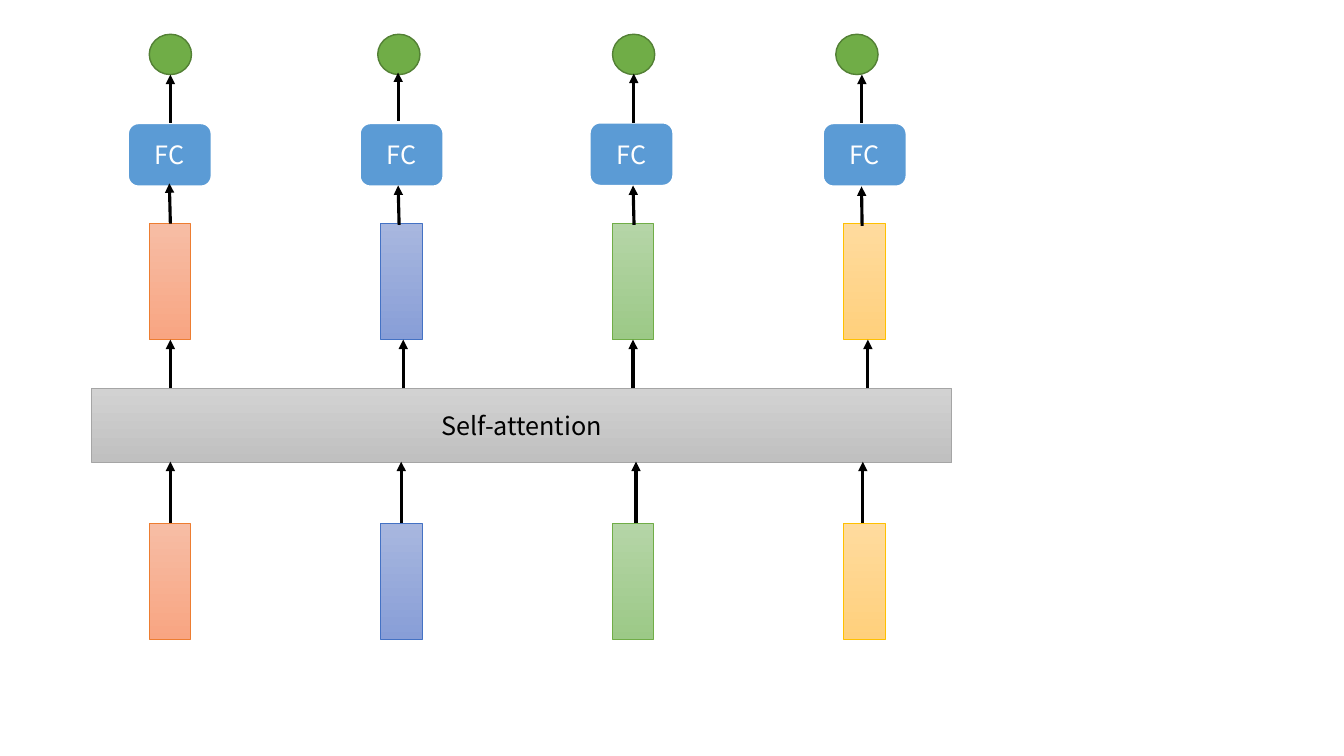
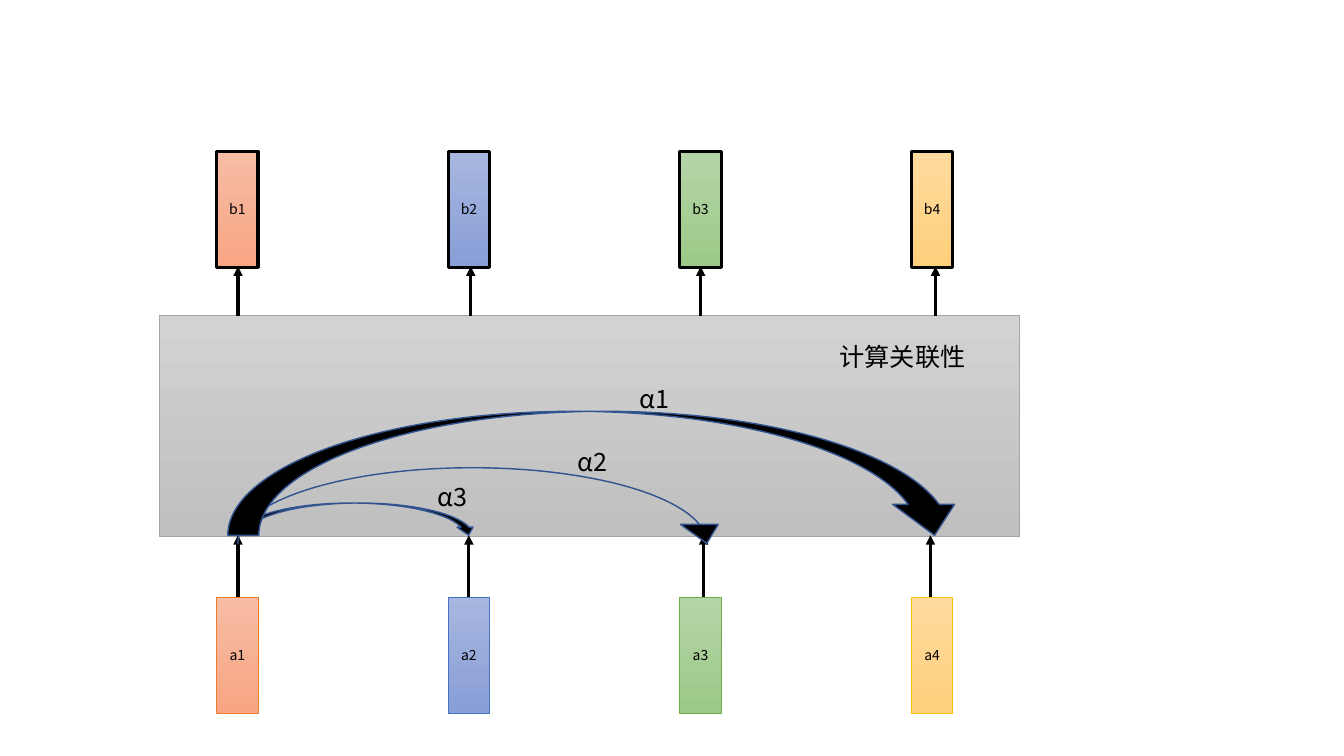
"""Draws two slides on self-attention: the network and its relevance step."""
from lxml import etree
from pptx import Presentation
from pptx.dml import color
from pptx.enum import shapes, text
from pptx.oxml import ns
from pptx.util import Pt

FONT = "Noto Sans CJK SC"
HUES = {
    "black": "000000", "white": "FFFFFF", "blue": "5B9BD5",
    "leaf": "70AD47", "moss": "538035", "navy": "325491",
}
FADES = {
    "red": ("F7BDA5", "F8A582", "ED7D31"),
    "blue": ("A8B7DF", "889ED7", "4472C4"),
    "green": ("B5D5A7", "9CC987", "70AD47"),
    "gold": ("FFDB9E", "FFD07C", "FFC000"),
    "gray": ("D2D2D2", "C0C0C0", "A5A5A5"),
}
COLS = ("red", "blue", "green", "gold")
KIND = shapes.MSO_SHAPE
LEFT, STEP = 106.5, 165.4
SHIFT = 48.3
IN_X = (121.7, 286.6, 454.3, 616.3)
OUT_X = (121.7, 288, 452.2, 619.9)


def rgb(code):
    """Turn a hex string into a colour."""
    return color.RGBColor.from_string(code)


def write(shape, words, size=18, hue="black", align="CENTER", anchor="MIDDLE"):
    """Put formatted words in a shape."""
    frame = shape.text_frame
    frame.word_wrap = True
    frame.vertical_anchor = getattr(text.MSO_ANCHOR, anchor)
    para = frame.paragraphs[0]
    para.alignment = getattr(text.PP_ALIGN, align)
    run = para.add_run()
    run.text = words
    run.font.size = Pt(size)
    run.font.name = FONT
    run.font.color.rgb = rgb(HUES[hue])
    etree.SubElement(run.font._element, ns.qn("a:ea"), typeface=FONT)


class Deck:
    """Holds the style and the current slide."""

    def __init__(self):
        """Start an empty wide deck."""
        self.show = Presentation()
        self.show.slide_width, self.show.slide_height = Pt(960), Pt(540)
        self.slide = None

    def page(self):
        """Add a blank slide."""
        self.slide = self.show.slides.add_slide(self.show.slide_layouts[6])

    def form(self, kind, box, edge, width):
        """Add a preset shape with an outline."""
        shape = self.slide.shapes.add_shape(kind, *map(Pt, box))
        shape.shadow.inherit = False
        shape.line.color.rgb = rgb(edge)
        shape.line.width = Pt(width)
        return shape

    def solid(self, kind, box, fill, edge, width=1):
        """Add a shape in one colour."""
        shape = self.form(kind, box, HUES[edge], width)
        shape.fill.solid()
        shape.fill.fore_color.rgb = rgb(HUES[fill])
        return shape

    def fade(self, box, name, edge=None, width=0.5):
        """Add a rectangle that darkens downwards."""
        top, low, rim = FADES[name]
        shape = self.form(KIND.RECTANGLE, box, edge or rim, width)
        shape.fill.gradient()
        shape.fill.gradient_angle = 270
        for stop, code in zip(shape.fill.gradient_stops, (top, low)):
            stop.color.rgb = rgb(code)
        return shape

    def blocks(self, top, shift=0, mark="", **style):
        """Add a row of four vectors."""
        for i, name in enumerate(COLS):
            block = self.fade((LEFT + shift + i * STEP, top, 29.5, 83), name, **style)
            if mark:
                write(block, f"{mark}{i + 1}", size=10)

    def arrow(self, x, y, end, tip):
        """Add a black arrow from x, y to end, tip."""
        line = self.slide.shapes.add_connector(
            shapes.MSO_CONNECTOR.STRAIGHT, *map(Pt, (x, y, end, tip)))
        line.line.color.rgb = rgb(HUES["black"])
        line.line.width = Pt(2.25)
        prop = line._element.spPr
        etree.SubElement(prop.find(ns.qn("a:ln")), ns.qn("a:tailEnd"), type="triangle")
        etree.SubElement(prop, ns.qn("a:effectLst"))

    def rise(self, xs, low, high, shift=0):
        """Add a row of upright arrows."""
        for x in xs:
            self.arrow(x + shift, low, x + shift, high)

    def label(self, box, words):
        """Add a text box."""
        shape = self.slide.shapes.add_textbox(*map(Pt, box))
        write(shape, words, align="LEFT", anchor="TOP")


def network(deck):
    """Draw the layers from inputs to outputs."""
    deck.page()
    deck.blocks(373.7)
    write(deck.fade((65.5, 277.2, 614.2, 53.3), "gray"), "Self-attention")
    deck.blocks(159.8)
    for x, y in ((91.4, 88), (257, 88), (421.2, 87.5), (587.8, 88)):
        cell = deck.solid(KIND.ROUNDED_RECTANGLE, (x, y, 59.8, 45.2), "blue", "white", 1.5)
        write(cell, "FC", hue="white")
    for x in (106.6, 269.8, 437.5, 597):
        deck.solid(KIND.OVAL, (x, 24.5, 30.2, 28.8), "leaf", "moss")
    deck.rise(IN_X, 373.7, 329.8)
    deck.rise(OUT_X, 277.2, 242.6)
    for x, y, end, tip in ((121.7, 159.8, 121, 131), (285.1, 160.6, 284.4, 132.5),
                           (452.9, 160.6, 452.2, 132.5), (615.8, 161.3, 615.4, 133.2)):
        deck.arrow(x, y, end, tip)
    for x, low, high in ((121.7, 87.8, 53.3), (284.4, 86.4, 51.8),
                         (452.7, 87.8, 52.6), (615.6, 87.8, 53.3)):
        deck.rise([x], low, high)


def relate(deck):
    """Draw how the first input relates to the others."""
    deck.page()
    deck.blocks(426.4, SHIFT, "a")
    deck.fade((113.8, 225.4, 614.2, 157.4), "gray")
    deck.blocks(108, SHIFT, "b", edge=HUES["black"], width=2.25)
    deck.rise(IN_X, 426.2, 382.3, SHIFT)
    deck.rise(OUT_X, 225.4, 190.3, SHIFT)
    for box, thick in (((169.9, 359.3, 170.6, 23), 0.25),
                       ((169.9, 334.1, 348.5, 54), 0),
                       ((162.7, 293.8, 527, 88.6), 0.25)):
        curve = deck.solid(KIND.CURVED_DOWN_ARROW, box, "black", "navy")
        curve.adjustments[0] = thick
    for x, y, width, words in ((592.6, 240.5, 116.6, "计算关联性"), (450, 270, 43.2, "α1"),
                               (405.4, 315.4, 43.2, "α2"), (305.3, 340.6, 41.8, "α3")):
        deck.label((x, y, width, 28.8), words)


deck = Deck()
network(deck)
relate(deck)
deck.show.save("out.pptx")
